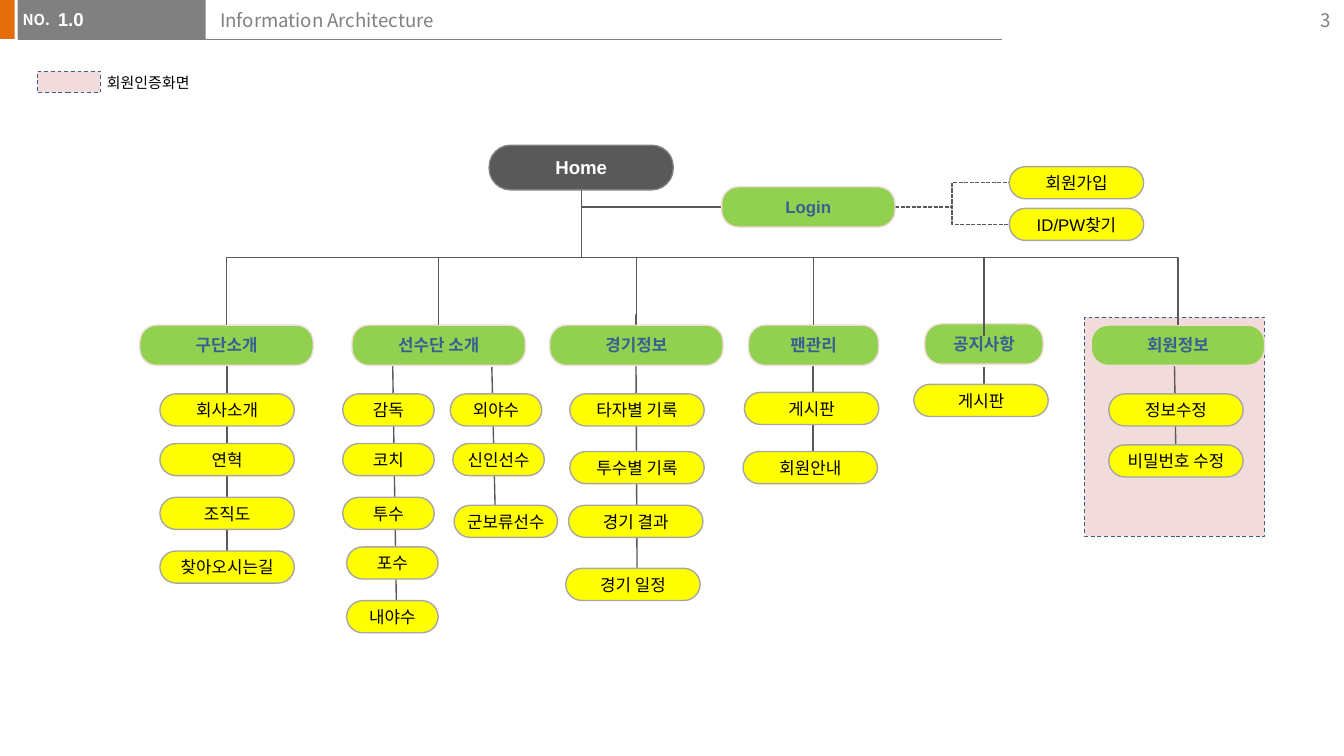
from dataclasses import dataclass

from lxml import etree
from pptx import Presentation
from pptx.dml.color import RGBColor
from pptx.enum.dml import MSO_LINE
from pptx.enum.shapes import MSO_CONNECTOR, MSO_SHAPE
from pptx.enum.text import MSO_ANCHOR, PP_ALIGN
from pptx.oxml.ns import qn
from pptx.util import Pt

RECT, ROUND = MSO_SHAPE.RECTANGLE, MSO_SHAPE.ROUNDED_RECTANGLE
STRAIGHT, ELBOW = MSO_CONNECTOR.STRAIGHT, MSO_CONNECTOR.ELBOW
DASH, SHORT_DASH = MSO_LINE.DASH, MSO_LINE.SQUARE_DOT
TOP, MIDDLE = MSO_ANCHOR.TOP, MSO_ANCHOR.MIDDLE
LEFT, CENTER, RIGHT = PP_ALIGN.LEFT, PP_ALIGN.CENTER, PP_ALIGN.RIGHT


@dataclass(frozen=True)
class Theme:
    sans: str = "Arial"
    korean: str = "Noto Sans CJK KR"
    large: float = 10
    medium: float = 9
    small: float = 8
    hairline: float = 0.5
    thin: float = 0.75
    white: str = "FFFFFF"
    black: str = "000000"
    orange: str = "E46C0A"
    gray: str = "808080"
    dark: str = "595959"
    silver: str = "A6A6A6"
    green: str = "92D050"
    yellow: str = "FFFF00"
    pink: str = "F2DCDB"
    blue: str = "376092"
    dash_blue: str = "3A5F8C"


T = Theme()
LEAF_W, LEAF_H, SHORT_W = 72, 17.2, 49
MENU_W, MENU_H, MENU_Y = 92.9, 21.6, 174.2
HOME = (262.1, 77.8, 98.6, 23.9)
LOGIN = (386.6, 100.1, MENU_W, MENU_H)

# Menu box, spines (x1, y1, x2, y2) and leaves (text, x, y, width), relative to the menu box
BRANCHES = [
    ("구단소개", (74.9, MENU_Y, MENU_W, MENU_H), [(46.8, 21.6, 46.8, 121)],
     [("회사소개", 10.8, 36.8, LEAF_W), ("연혁", 10.8, 63.4, LEAF_W),
      ("조직도", 10.8, 92.2, LEAF_W), ("찾아오시는길", 10.8, 121, LEAF_W)]),
    ("선수단 소개", (188.6, MENU_Y, MENU_W, MENU_H),
     [(21.6, 8.6, 23.8, 153.4), (74.9, 22.3, 77, 112.3)],
     [("감독", -5, 36.8, SHORT_W), ("코치", -5, 63.4, SHORT_W),
      ("투수", -5, 92.2, SHORT_W), ("포수", -2.9, 118.8, SHORT_W),
      ("내야수", -2.9, 147.6, SHORT_W), ("외야수", 52.6, 36.8, SHORT_W),
      ("신인선수", 54, 63.4, SHORT_W), ("군보류선수", 54.7, 96.5, 55.4)]),
    ("경기정보", (294.5, MENU_Y, MENU_W, MENU_H), [(46.1, -5.8, 46.8, 133.9)],
     [("타자별 기록", 10.8, 36.8, LEAF_W), ("투수별 기록", 10.8, 67.7, LEAF_W),
      ("경기 결과", 10.1, 96.5, LEAF_W), ("경기 일정", 8.6, 130.3, LEAF_W)]),
    ("팬관리", (401, MENU_Y, 69.8, MENU_H), [(34.6, 21.6, 34.6, 67.7)],
     [("게시판", -2.2, 36, LEAF_W), ("회원안내", -2.9, 67.7, LEAF_W)]),
    ("공지사항", (495.4, 173.5, 63.4, MENU_H), [(31.7, 23, 31.7, 46.8)],
     [("게시판", -5.8, 32.4, LEAF_W)]),
    ("회원정보", (584.6, MENU_Y, MENU_W, MENU_H), [(44.6, 20.2, 45.4, 73.4)],
     [("정보수정", 9.4, 36.8, LEAF_W), ("비밀번호 수정", 9.4, 64.1, LEAF_W)]),
]
NOTICE = "공지사항"


def rgb(color):
    return RGBColor.from_string(color)


def write(sp, text, size, color, font=T.korean, bold=False, align=LEFT,
          anchor=TOP, margins=(7.2, 3.6), before=0, wrap=True):
    tf = sp.text_frame
    tf.text = text
    tf.word_wrap = wrap
    tf.vertical_anchor = anchor
    tf.margin_left = tf.margin_right = Pt(margins[0])
    tf.margin_top = tf.margin_bottom = Pt(margins[1])
    p = tf.paragraphs[0]
    p.alignment, p.space_before = align, Pt(before)
    r = p.runs[0]
    r.font.name, r.font.size, r.font.bold = font, Pt(size), bold
    r.font.color.rgb = rgb(color)
    etree.SubElement(r.font._element, qn("a:ea"), typeface=T.korean)


def label(s, box, text, size, color, **style):
    write(s.shapes.add_textbox(*map(Pt, box)), text, size, color, **style)


def block(s, box, fill, line=None, kind=RECT, width=T.hairline, dash=None):
    sp = s.shapes.add_shape(kind, *map(Pt, box))
    sp.shadow.inherit = False
    sp.fill.solid()
    sp.fill.fore_color.rgb = rgb(fill)
    if line:
        sp.line.color.rgb = rgb(line)
        sp.line.width = Pt(width)
        sp.line.dash_style = dash
    else:
        sp.line.fill.background()
    return sp


def pill(s, box, text, fill, line, color, radius=0.417, size=T.medium, bold=True):
    sp = block(s, box, fill, line, ROUND, T.thin)
    sp.adjustments[0] = radius
    write(sp, text, size, color, T.sans, bold, CENTER, MIDDLE, (1.4, 1.4), 1)


def menu(s, box, text):
    pill(s, box, text, T.green, T.pink, T.blue)


def leaf(s, x, y, w, text):
    pill(s, (x, y, w, LEAF_H), text, T.yellow, T.silver, T.black, 0.5, bold=False)


def link(s, x1, y1, x2, y2, kind=STRAIGHT, color=T.dark, width=T.thin, dash=None):
    c = s.shapes.add_connector(kind, Pt(x1), Pt(y1), Pt(x2), Pt(y2))
    c.line.color.rgb = rgb(color)
    c.line.width = Pt(width)
    c.line.dash_style = dash
    etree.SubElement(c._element.spPr, qn("a:effectLst"))
    return c


def link_down(s, x1, y1, x2, y2, preset="bentConnector3"):
    """Elbow that leaves its start vertically: a sideways elbow turned a quarter."""
    cx, cy = (x1 + x2) / 2, (y1 + y2) / 2
    half_w, half_h = (y2 - y1) / 2, abs(x2 - x1) / 2
    rightward = x2 > x1
    if rightward:
        half_w = -half_w
    c = link(s, cx - half_w, cy - half_h, cx + half_w, cy + half_h, ELBOW)
    spPr = c._element.spPr
    spPr.find(qn("a:xfrm")).set("rot", "16200000" if rightward else "5400000")
    spPr.find(qn("a:prstGeom")).set("prst", preset)


def header(s, x, y, w, h):
    block(s, (x - 0.7, y, 8.6, h), T.orange)
    link(s, x + 9.4, y + h, x + 537, y + h, color=T.gray, width=T.hairline)
    block(s, (x + 9.4, y, 100.8, h), T.gray)
    label(s, (x + 5, y + 2.2, 29.5, 17.3), "NO.", T.small, T.white, bold=True, wrap=False)
    label(s, (x + 31, y + 0.7, 79.2, 22.3), "1.0", T.large, T.white,
          font=T.sans, bold=True, margins=(0, 3.6), before=2)
    label(s, (x + 110.9, y + 1.4, 425.5, 23), "Information Architecture", T.large, T.gray)
    label(s, (x + w - 43.2, y, 43.2, 21.6), "3", T.large, T.gray, align=RIGHT, anchor=MIDDLE)


def legend(s, x, y, w, h):
    block(s, (x, y, w, h), T.pink, T.dash_blue, dash=DASH)
    label(s, (x + 30.2, y - 2.2, 63.4, 17.3), "회원인증화면", T.small, T.black, wrap=False)


def login(s, x, y, w, h):
    for text, dy in (("회원가입", -10.8), ("ID/PW찾기", 11.5)):
        leaf_y = y + dy
        link(s, x + w, y + h / 2, x + w + 61.2, leaf_y + LEAF_H / 2, ELBOW, dash=SHORT_DASH)
        leaf(s, x + w + 61.2, leaf_y, LEAF_W, text)
    menu(s, (x, y, w, h), "Login")


def branch(s, box, text, spines, leaves):
    x, y, _, _ = box
    for x1, y1, x2, y2 in spines:
        link(s, x + x1, y + y1, x + x2, y + y2)
    menu(s, box, text)
    for name, dx, dy, w in leaves:
        leaf(s, x + dx, y + dy, w, name)


def site_map(s, x, y, w, h):
    root_x, root_y = x + w / 2, y + h
    block(s, (581, 169.9, 96.5, 117.4), T.pink, T.dash_blue, dash=DASH)
    for text, box, spines, leaves in BRANCHES:
        branch(s, box, text, spines, leaves)
        menu_x = box[0] + box[2] / 2
        if text == NOTICE:
            link(s, menu_x, 137.5, menu_x, 180)
        else:
            link_down(s, root_x, root_y, menu_x, box[1])
    link_down(s, root_x, root_y, LOGIN[0], LOGIN[1] + LOGIN[3] / 2, "bentConnector2")
    login(s, *LOGIN)
    pill(s, (x, y, w, h), "Home", T.dark, T.gray, T.white, 0.479, T.large)


def main():
    prs = Presentation()
    prs.slide_width, prs.slide_height = Pt(720), Pt(405)
    s = prs.slides.add_slide(prs.slide_layouts[6])
    header(s, 0, 0, 720, 20.9)
    legend(s, 20, 38.2, 33.8, 11.5)
    site_map(s, *HOME)
    prs.save("out.pptx")


if __name__ == "__main__":
    main()
